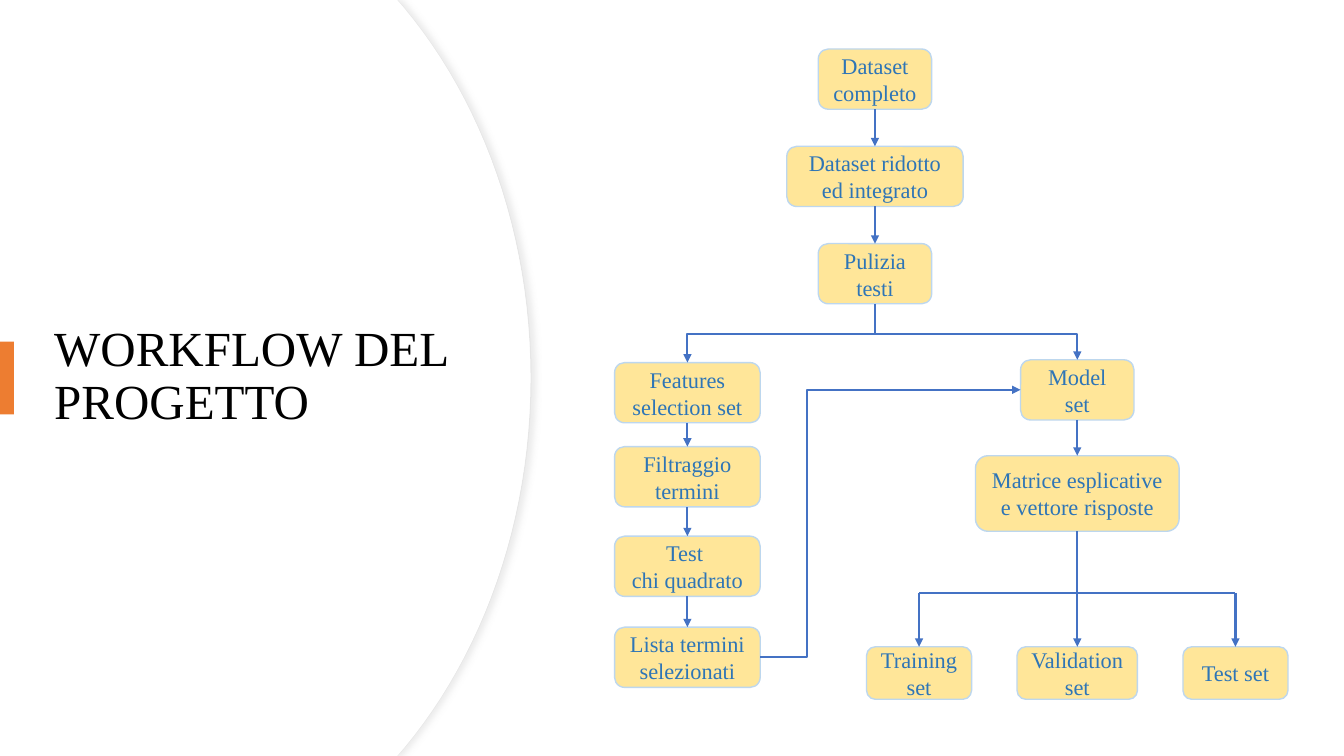
from pptx import Presentation
from pptx.dml.color import RGBColor
from pptx.enum.shapes import MSO_CONNECTOR as Link, MSO_SHAPE as Shape
from pptx.enum.text import MSO_ANCHOR as Anchor, MSO_AUTO_SIZE as AutoSize, PP_ALIGN as Align
from pptx.oxml import parse_xml
from pptx.oxml.ns import nsdecls, qn
from pptx.util import Pt
from lxml.etree import SubElement

WHITE = RGBColor(0xFF, 0xFF, 0xFF)
BLACK = RGBColor(0, 0, 0)
EDGE_GREY = RGBColor(0xE6, 0xE6, 0xE6)
ORANGE = RGBColor(0xED, 0x7D, 0x31)
STEP_FILL = RGBColor(0xFF, 0xE6, 0x99)
STEP_LINE = RGBColor(0xBD, 0xD7, 0xEE)
STEP_TEXT = RGBColor(0x2E, 0x75, 0xB6)
ARROW_BLUE = RGBColor(0x44, 0x72, 0xC4)
FONT = "Times New Roman"
TOP, LEFT, BOTTOM, RIGHT = range(4)
STEP_HEIGHT = 43


def write(frame, text, size, color, align=Align.CENTER, spacing=1.0):
    """Put formatted text into a wrapped, vertically centred frame."""
    frame.word_wrap = True
    frame.vertical_anchor = Anchor.MIDDLE
    frame.auto_size = AutoSize.NONE
    para = frame.paragraphs[0]
    para.text = text
    para.alignment = align
    para.line_spacing = spacing
    for span in para.runs:
        span.font.name = FONT
        span.font.size = Pt(size)
        span.font.color.rgb = color


def add_step(page, text, center, top, width, height=STEP_HEIGHT):
    """Draw one workflow step centred on a vertical axis."""
    step = page.shapes.add_shape(Shape.FLOWCHART_ALTERNATE_PROCESS, Pt(center - width / 2),
                                 Pt(top), Pt(width), Pt(height))
    step.shadow.inherit = False
    step.fill.solid()
    step.fill.fore_color.rgb = STEP_FILL
    step.line.color.rgb = STEP_LINE
    step.line.width = Pt(1)
    write(step.text_frame, text, 16, STEP_TEXT)
    return step


def add_link(page, start=(0, 0), end=(0, 0), source=None, target=None, sides=(BOTTOM, TOP),
             kind=Link.STRAIGHT, heads=("tailEnd",)):
    """Draw a connector between points, joined to any given steps."""
    link = page.shapes.add_connector(kind, *(Pt(value) for value in (*start, *end)))
    if source is not None:
        link.begin_connect(source, sides[0])
    if target is not None:
        link.end_connect(target, sides[1])
    link.line.color.rgb = ARROW_BLUE
    link.line.width = Pt(1.5)
    for head in heads:
        SubElement(link.line._get_or_add_ln(), qn(f"a:{head}"), type="triangle")
    SubElement(link.element.spPr, qn("a:effectLst"))
    return link


def bend(link, ratio):
    """Set where an elbow connector turns, as a share of its width."""
    guides = link.element.spPr.find(qn("a:prstGeom")).get_or_add_avLst()
    SubElement(guides, qn("a:gd"), name="adj1", fmla=f"val {round(ratio * 100000)}")


def add_curved_panel(page, left, top, width, height):
    """Draw a white panel whose right edge bulges outwards."""
    curve = [(288.7, 5.8), (344.9, 73.4), (width, 167), (width, height / 2)]
    steps = [index / 24 for index in range(25)]
    upper = [tuple((1 - t) ** 3 * a + 3 * (1 - t) ** 2 * t * b + 3 * (1 - t) * t ** 2 * c + t ** 3 * d
                   for a, b, c, d in zip(*curve)) for t in steps]
    upper.insert(0, (283.7, 0))
    lower = [(x, height - y) for x, y in reversed(upper[:-1])]
    outline = [(Pt(left + x), Pt(top + y)) for x, y in upper + lower + [(0, height)]]
    builder = page.shapes.build_freeform(Pt(left), Pt(top))
    builder.add_line_segments(outline, close=True)
    panel = builder.convert_to_shape()
    panel.shadow.inherit = False
    panel.fill.solid()
    panel.fill.fore_color.rgb = WHITE
    return panel


def add_title_panel(page, left, top, width, height):
    """Build the curved title area with its accent bar."""
    edge = add_curved_panel(page, left, top, width, height)
    edge.line.color.rgb = EDGE_GREY
    edge.line.width = Pt(0.75)
    edge.element.spPr.find(qn("a:effectLst")).append(parse_xml(
        f'<a:outerShdw {nsdecls("a")} blurRad="{Pt(4)}" dist="{Pt(3)}" dir="0" rotWithShape="0">'
        '<a:srgbClr val="D9D9D9"><a:alpha val="50000"/></a:srgbClr></a:outerShdw>'))
    add_curved_panel(page, left, top, width - 0.7, height).line.fill.background()

    bar = page.shapes.add_shape(Shape.RECTANGLE, Pt(left), Pt(top + 244), Pt(10), Pt(52))
    bar.shadow.inherit = False
    bar.fill.solid()
    bar.fill.fore_color.rgb = ORANGE
    bar.line.fill.background()

    title = page.shapes.title
    title.left, title.top, title.width, title.height = Pt(left + 31.5), Pt(top + 91.5), Pt(301), Pt(356)
    write(title.text_frame, "WORKFLOW DEL PROGETTO", 35, BLACK, align=Align.LEFT, spacing=0.9)
    title.element.getparent().append(title.element)


def add_column(page, center, rows):
    """Stack steps on one axis and join each to the next."""
    steps = [add_step(page, text, center, *place) for text, *place in rows]
    for source, target in zip(steps, steps[1:]):
        add_link(page, source=source, target=target)
    return steps


def add_preparation(page, left, top, width, height):
    """Build the data preparation column and its stem; return the stem's foot."""
    center = left + width / 2
    gap = (height - STEP_HEIGHT) / 2
    labels = [("Dataset completo", 81), ("Dataset ridotto ed integrato", width), ("Pulizia testi", 81)]
    steps = add_column(page, center, [(text, top + row * gap, step_width)
                                      for row, (text, step_width) in enumerate(labels)])
    foot = top + height + 22
    add_link(page, end=(center, foot), source=steps[-1], heads=())
    return foot


def add_features(page, left, top, width, height):
    """Build the feature selection column and return its first and last steps."""
    labels = ["Features selection set", "Filtraggio termini", "Test \vchi quadrato",
              "Lista termini selezionati"]
    tops = [0, 60, 124, height - STEP_HEIGHT]
    steps = add_column(page, left + width / 2,
                       [(text, top + offset, width) for text, offset in zip(labels, tops)])
    return steps[0], steps[-1]


def add_model(page, left, top, width, height):
    """Build the model column with its three subsets and return the first step."""
    center = left + width / 2
    model, matrix = add_column(page, center, [
        ("Model set", top, 81), ("Matrice esplicative e vettore risposte", top + 68.5, 145.5, 54)])
    bus = top + 166.5
    add_link(page, end=(center, bus), source=matrix, heads=())
    centers = [left + 37.5, center, left + width - 37.5]
    add_link(page, (centers[0], bus), (centers[-1], bus), heads=())
    for text, axis, step_width in zip(["Training set", "Validation set", "Test set"], centers, [75, 86, 75]):
        subset = add_step(page, text, axis, top + height - 37.5, step_width, 37.5)
        add_link(page, (axis, bus), target=subset)
    return model


def add_branches(page, feature, selection, model, split):
    """Join the two branches to the split line and to each other."""
    fork = add_link(page, source=feature, target=model, sides=(TOP, TOP),
                    kind=Link.ELBOW, heads=("headEnd", "tailEnd"))
    start_x, start_y, end_x, end_y = fork.begin_x, fork.begin_y, fork.end_x, fork.end_y
    middle_x, middle_y = (start_x + end_x) // 2, (start_y + end_y) // 2
    half_run, half_drop = (end_x - start_x) // 2, (start_y - end_y) // 2
    fork.begin_x, fork.begin_y = middle_x + half_drop, middle_y + half_run
    fork.end_x, fork.end_y = middle_x - half_drop, middle_y - half_run
    fork.element.spPr.find(qn("a:xfrm")).set("rot", "5400000")
    bend(fork, (start_y - Pt(split)) / (2 * half_drop))

    feedback = add_link(page, source=selection, target=model, sides=(RIGHT, LEFT), kind=Link.ELBOW)
    bend(feedback, 0.18)


def add_workflow_slide(deck):
    """Build the project workflow slide."""
    page = deck.slides.add_slide(deck.slide_layouts[5])
    add_title_panel(page, 0, 0, 379.4, 540)
    split = add_preparation(page, 562, 35, 126, 182)
    feature, selection = add_features(page, 439, 259, 104, 232)
    model = add_model(page, 619, 257, 301, 242.5)
    add_branches(page, feature, selection, model, split)


def main():
    """Create and save the deck."""
    deck = Presentation()
    deck.slide_width, deck.slide_height = Pt(960), Pt(540)
    add_workflow_slide(deck)
    deck.save("out.pptx")


if __name__ == "__main__":
    main()
